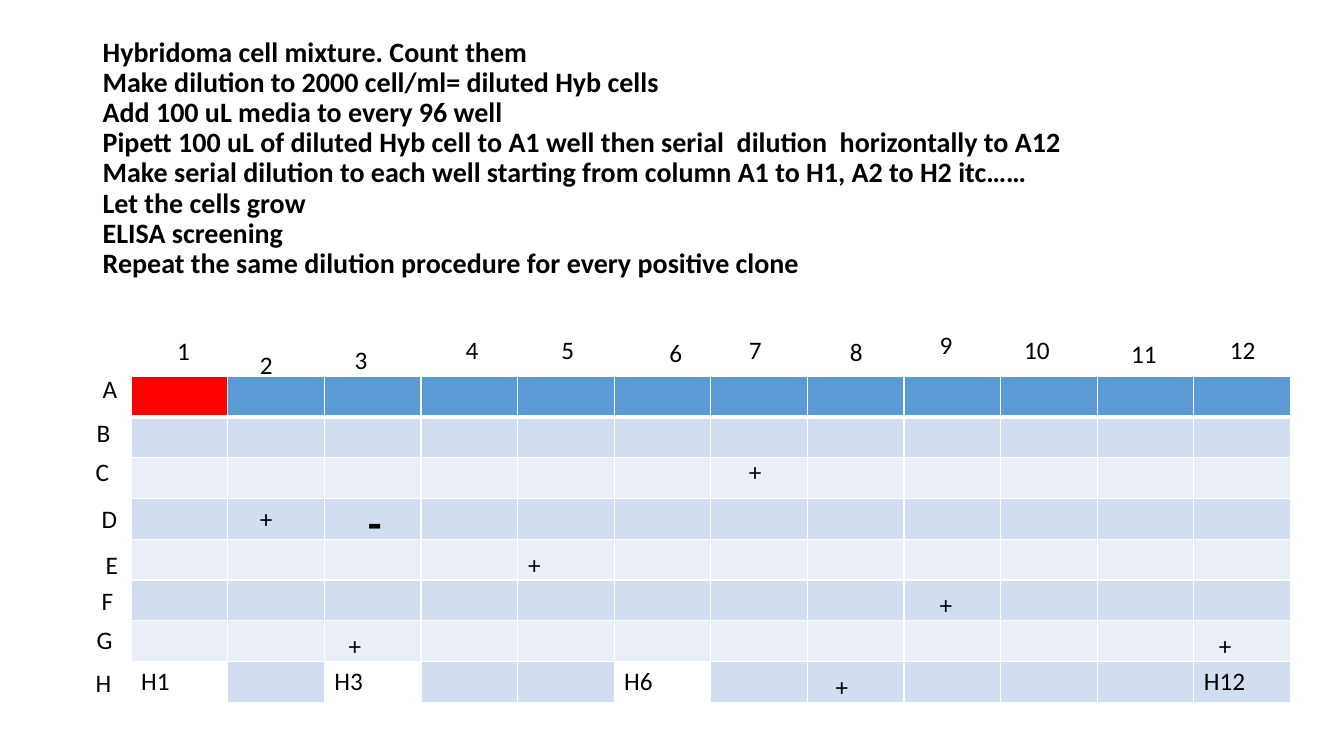
from lxml.etree import SubElement
from pptx import Presentation
from pptx.dml.color import RGBColor
from pptx.enum.text import MSO_ANCHOR, MSO_AUTO_SIZE
from pptx.oxml.ns import qn
from pptx.util import Inches, Pt

COLORS = {"text": "000000", "white": "FFFFFF", "start": "FF0000",
          "header": "5B9BD5", "dark_band": "D2DEEF", "light_band": "EAEFF7"}
FONT = "Calibri"
ROWS, COLUMNS = 8, 12

PROTOCOL = [
    "Hybridoma cell mixture. Count them",
    "Make dilution to 2000 cell/ml= diluted Hyb cells",
    "Add 100 uL media to every 96 well",
    "Pipett 100 uL of diluted Hyb cell to A1 well then serial  dilution  horizontally to A12",
    "Make serial dilution to each well starting from column A1 to H1, A2 to H2 itc……",
    "Let the cells grow",
    "ELISA screening",
    "Repeat the same dilution procedure for every positive clone",
]

# Left, top and width of each label, from the top left corner of the plate
COLUMN_LABELS = [
    (0.36, -0.45, 0.56), (1.18, -0.31, 1.0), (2.12, -0.36, 0.7), (3.22, -0.46, 0.62),
    (4.17, -0.46, 0.62), (5.24, -0.43, 0.54), (6.03, -0.46, 0.59), (7.03, -0.44, 0.63),
    (7.92, -0.51, 0.57), (8.76, -0.46, 0.61), (9.82, -0.42, 0.52), (10.8, -0.46, 0.46),
]
ROW_LABELS = [
    (-0.38, -0.08, 0.46), (-0.44, 0.36, 0.55), (-0.45, 0.75, 0.46), (-0.39, 1.21, 0.46),
    (-0.35, 1.67, 0.54), (-0.39, 2.03, 0.59), (-0.44, 2.41, 0.67), (-0.45, 2.84, 0.49),
]
POSITIVE_WELLS = [
    (1.18, 1.21, 0.88), (6.03, 0.75, 0.4), (7.92, 2.07, 0.4), (2.06, 2.47, 0.48),
    (6.89, 2.88, 0.46), (3.84, 1.67, 0.64), (10.69, 2.47, 0.56),
]
NEGATIVE_WELL = (2.25, 1.13, 0.59)
NAMED_WELLS = {(7, 0): "H1", (7, 2): "H3", (7, 5): "H6", (7, 11): "H12"}
UNFILLED_WELLS = [(7, 0), (7, 2)]
SPECIAL_FILLS = {(0, 0): "start", (7, 5): "white"}


def color(name):
    return RGBColor.from_string(COLORS[name])


def add_run(paragraph, text, size=18, bold=False):
    run = paragraph.add_run()
    run.text = text
    run.font.name = FONT
    run.font.size = Pt(size)
    run.font.bold = bold
    run.font.color.rgb = color("text")


def add_text_frame(slide, left, top, width, height):
    shape = slide.shapes.add_textbox(Inches(left), Inches(top), Inches(width), Inches(height))
    shape.text_frame.word_wrap = True
    return shape.text_frame


def add_protocol(slide, left, top, width, height):
    frame = add_text_frame(slide, left, top, width, height)
    frame.vertical_anchor = MSO_ANCHOR.MIDDLE
    paragraph = frame.paragraphs[0]
    paragraph.line_spacing = 0.9
    for index, step in enumerate(PROTOCOL):
        if index:
            paragraph.add_line_break()
        add_run(paragraph, step, 20, True)


def set_borders(cell, top, bottom):
    """Draw white borders; top and bottom are widths in points."""
    properties = cell._tc.get_or_add_tcPr()
    for side, width in (("L", 1), ("R", 1), ("T", top), ("B", bottom)):
        line = SubElement(properties, qn(f"a:ln{side}"), w=str(Pt(width)))
        fill = SubElement(line, qn("a:solidFill"))
        SubElement(fill, qn("a:srgbClr"), val=COLORS["white"])


def fill_well(cell, row, column):
    set_borders(cell, 3 if row == 1 else 1, 3 if row == 0 else 1)
    if (row, column) in UNFILLED_WELLS:
        cell.fill.background()
    else:
        band = "header" if row == 0 else ("light_band", "dark_band")[row % 2]
        cell.fill.solid()
        cell.fill.fore_color.rgb = color(SPECIAL_FILLS.get((row, column), band))
    if (row, column) in NAMED_WELLS:
        add_run(cell.text_frame.paragraphs[0], NAMED_WELLS[row, column])


def add_wells(slide, left, top, width, height):
    table = slide.shapes.add_table(ROWS, COLUMNS, Inches(left), Inches(top),
                                   Inches(width), Inches(height)).table
    table.first_row = table.horz_banding = False
    for column in table.columns:
        column.width = Inches(width / COLUMNS)
    for row in range(ROWS):
        table.rows[row].height = Inches(height / ROWS)
        for column in range(COLUMNS):
            fill_well(table.cell(row, column), row, column)


def add_plate(slide, left, top, width, height):
    """Place the 96 wells with their row and column labels and result marks."""
    add_wells(slide, left, top, width, height)

    def add_label(text, place, label_height=0.4, size=18, bold=False):
        x, y, label_width = place
        frame = add_text_frame(slide, left + x, top + y, label_width, label_height)
        frame.auto_size = MSO_AUTO_SIZE.SHAPE_TO_FIT_TEXT
        frame.word_wrap = text != "12"
        add_run(frame.paragraphs[0], text, size, bold)

    for number, place in enumerate(COLUMN_LABELS, 1):
        add_label(str(number), place)
    for letter, place in zip("ABCDEFGH", ROW_LABELS):
        add_label(letter, place)
    for place in POSITIVE_WELLS:
        add_label("+", place)
    add_label("-", NEGATIVE_WELL, 0.64, 32, True)


def main():
    presentation = Presentation()
    presentation.slide_width = Inches(13.33)
    presentation.slide_height = Inches(7.5)
    slide = presentation.slides.add_slide(presentation.slide_layouts[6])
    add_protocol(slide, 0.92, 0.4, 11.5, 2.35)
    add_plate(slide, 1.3, 3.73, 11.5, 3.24)
    presentation.save("out.pptx")


if __name__ == "__main__":
    main()
